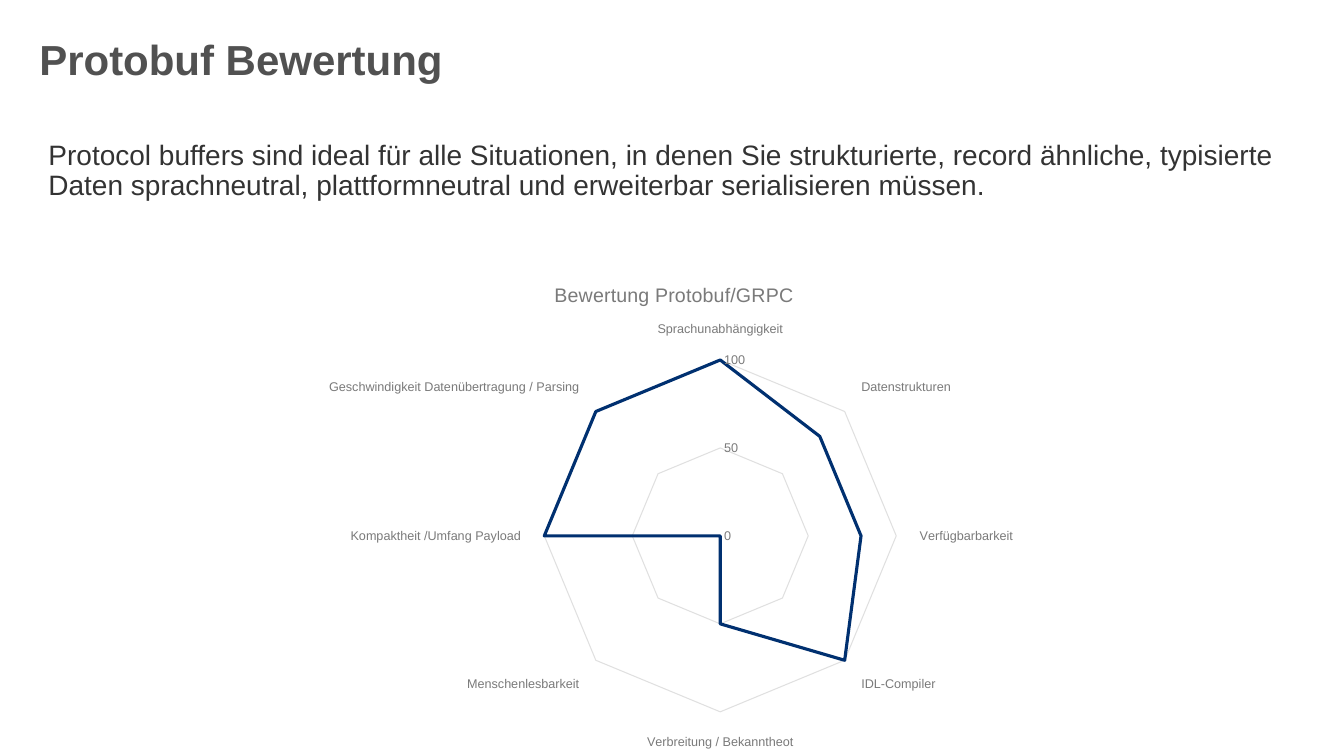
from lxml import etree
from pptx import Presentation
from pptx.chart.data import CategoryChartData
from pptx.dml.color import RGBColor
from pptx.enum.chart import XL_CHART_TYPE as ChartType, XL_TICK_MARK as TickMark
from pptx.enum.text import MSO_ANCHOR as Anchor, MSO_AUTO_SIZE as AutoSize, PP_ALIGN as Align
from pptx.oxml.ns import qn
from pptx.util import Emu, Pt

PX = 9144  # 100 px to the inch
FONT = "Arial"
COLORS = {
    "title": "515151",
    "body": "333333",
    "label": "7A7A7A",
    "grid": "E0E0E0",
    "series": "003070",
}
RATINGS = {
    "Sprachunabhängigkeit": 100,
    "Datenstrukturen": 80,
    "Verfügbarbarkeit": 80,
    "IDL-Compiler": 100,
    "Verbreitung / Bekanntheot": 50,
    "Menschenlesbarkeit": 0,
    "Kompaktheit /Umfang Payload": 100,
    "Geschwindigkeit Datenübertragung / Parsing": 100,
}


def px(*lengths):
    return [Emu(length * PX) for length in lengths]


def color(name):
    return RGBColor.from_string(COLORS[name])


def set_layout(parent, index, **values):
    """Place a chart part by fractions of the chart's size."""
    for old in parent.findall(qn("c:layout")):
        parent.remove(old)
    layout = etree.Element(qn("c:layout"))
    manual = etree.SubElement(layout, qn("c:manualLayout"))
    for tag, value in values.items():
        etree.SubElement(manual, qn(f"c:{tag}")).set("val", str(value))
    parent.insert(index, layout)


class SlideBuilder:
    def __init__(self, presentation):
        self.slide = presentation.slides.add_slide(presentation.slide_layouts[1])

    def style(self, font, size, color_name, bold=False):
        font.name, font.size, font.bold = FONT, Pt(size), bold
        font.color.rgb = color(color_name)

    def placeholder(self, shape, box, text, size, color_name, margins, bold=False):
        shape.left, shape.top, shape.width, shape.height = px(*box)
        frame = shape.text_frame
        frame.text = text
        frame.word_wrap = True
        frame.auto_size = AutoSize.NONE
        frame.vertical_anchor = Anchor.TOP
        (frame.margin_left, frame.margin_top,
         frame.margin_right, frame.margin_bottom) = px(*margins)
        paragraph = frame.paragraphs[0]
        paragraph.alignment = Align.LEFT
        paragraph.line_spacing = 0.9
        paragraph.space_before = Pt(0)
        properties = paragraph._p.get_or_add_pPr()
        properties.set("marL", "0")
        properties.set("indent", "0")
        etree.SubElement(properties, qn("a:buNone"))
        self.style(paragraph.font, size, color_name, bold)

    def title(self, text, box):
        self.placeholder(self.slide.shapes.title, box, text, 30, "title", (0, 0, 0, 0), True)

    def body(self, text, box):
        self.placeholder(self.slide.placeholders[1], box, text, 20, "body", (1, 1, 5, 5))

    def axis(self, axis):
        axis.major_tick_mark = axis.minor_tick_mark = TickMark.NONE
        axis.tick_labels.number_format = "General"
        axis.tick_labels.number_format_is_linked = False
        self.style(axis.tick_labels.font, 9, "label")

    def thin_line(self, line):
        line.color.rgb = color("grid")
        line.width = Pt(0.75)

    def radar(self, title, ratings, box):
        data = CategoryChartData()
        data.categories = list(ratings)
        data.add_series("Series 1", list(ratings.values()))
        chart = self.slide.shapes.add_chart(ChartType.RADAR, *px(*box), data).chart
        self.style(chart.font, 10, "body")
        chart.has_legend = False

        chart.has_title = True
        title_frame = chart.chart_title.text_frame
        title_frame.text = title
        self.style(title_frame.paragraphs[0].font, 14, "label")
        set_layout(chart.chart_title._element, 1, xMode="edge", yMode="edge", x=0.36, y=0.04)
        plot_area = chart._chartSpace.chart.plotArea
        set_layout(plot_area, 0, layoutTarget="inner", xMode="edge", yMode="edge",
                   x=0.35, y=0.2, w=0.41, h=0.69)

        categories, values = chart.category_axis, chart.value_axis
        self.axis(categories)
        categories.has_major_gridlines = False
        self.thin_line(categories.format.line)
        self.axis(values)
        values.minimum_scale, values.maximum_scale, values.major_unit = 0, 100, 50
        values.has_major_gridlines = True
        self.thin_line(values.major_gridlines.format.line)
        values.format.line.fill.background()

        plot = chart.plots[0]
        plot.vary_by_categories = False
        series = plot.series[0]
        series.smooth = False
        series.format.line.color.rgb = color("series")
        series.format.line.width = Pt(2.25)


def main():
    presentation = Presentation()
    presentation.slide_width, presentation.slide_height = px(1333, 750)
    builder = SlideBuilder(presentation)
    builder.title("Protobuf Bewertung", (39, 39, 1131, 85))
    builder.body(
        "Protocol buffers sind ideal für alle Situationen, in denen Sie strukturierte, "
        "record ähnliche, typisierte Daten sprachneutral, plattformneutral und "
        "erweiterbar serialisieren müssen.",
        (47, 139, 1228, 531),
    )
    builder.radar("Bewertung Protobuf/GRPC", RATINGS, (236, 256, 862, 506))
    presentation.save("out.pptx")


if __name__ == "__main__":
    main()
